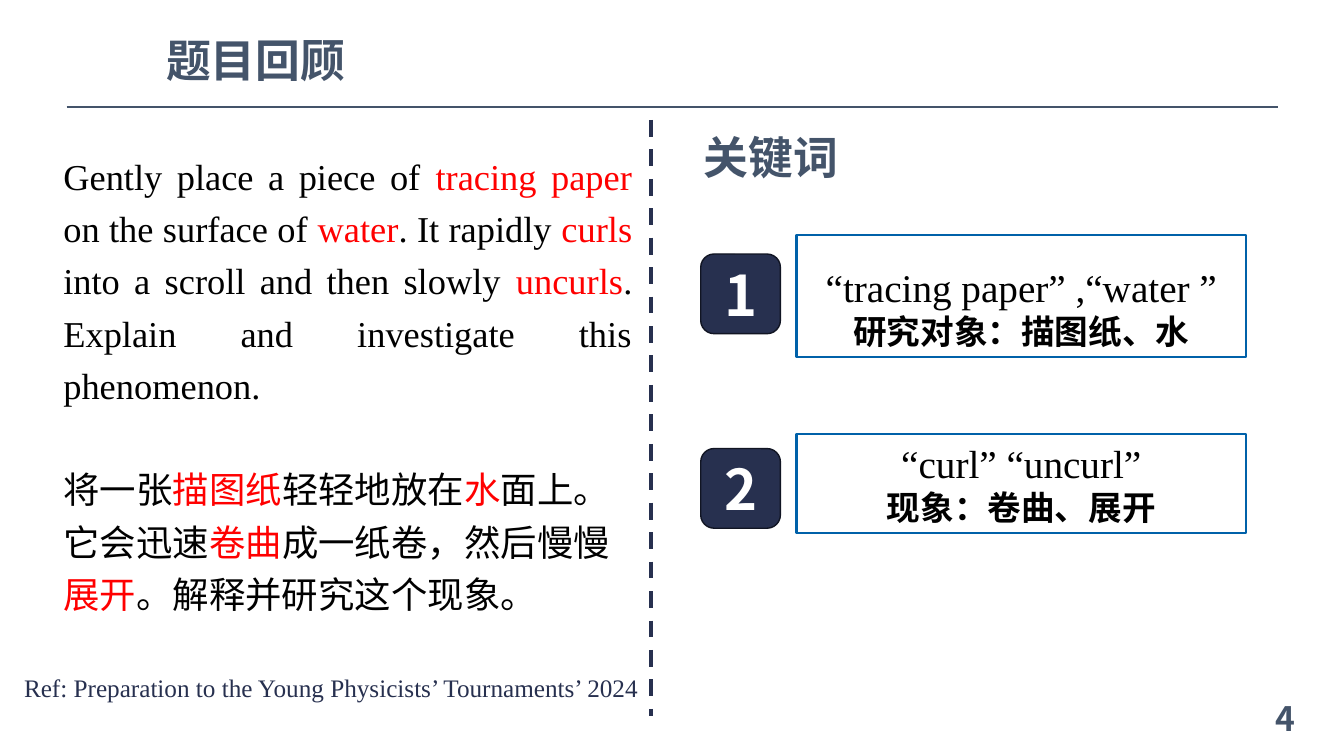
from lxml import etree
from pptx import Presentation
from pptx.dml.color import RGBColor
from pptx.enum.dml import MSO_LINE
from pptx.enum.shapes import MSO_CONNECTOR, MSO_SHAPE
from pptx.enum.text import MSO_ANCHOR, MSO_AUTO_SIZE, PP_ALIGN
from pptx.oxml.ns import qn
from pptx.util import Inches, Pt

LEFT, CENTER, RIGHT, JUST = (
    PP_ALIGN.LEFT, PP_ALIGN.CENTER, PP_ALIGN.RIGHT, PP_ALIGN.JUSTIFY)
TOP, MIDDLE = MSO_ANCHOR.TOP, MSO_ANCHOR.MIDDLE
GROW, FIXED = MSO_AUTO_SIZE.SHAPE_TO_FIT_TEXT, MSO_AUTO_SIZE.NONE
RECT, ROUND = MSO_SHAPE.RECTANGLE, MSO_SHAPE.ROUNDED_RECTANGLE
STRAIGHT, DASH = MSO_CONNECTOR.STRAIGHT, MSO_LINE.DASH

SANS, SERIF = "Noto Sans CJK SC", "Times New Roman"
COLORS = {
    "slate": "44546A", "navy": "27304F", "edge": "111523", "blue": "0061A9",
    "red": "FF0000", "black": "000000", "white": "FFFFFF",
}

ENGLISH = (
    "Gently place a piece of |tracing paper |on the surface of |water|"
    ". It rapidly |curls| into a scroll and then slowly |uncurls|"
    ". Explain and investigate this phenomenon.")
CHINESE = (
    "将一张|描图纸|轻轻地放在|水|面上。它会迅速|卷曲|"
    "成一纸卷，然后慢慢|展开|。解释并研究这个现象。")

# number, box top, box height, badge top, quote, quote spacing, meaning
KEYS = [
    ("1", 2.33, 1.21, 2.52, "“tracing paper” ,“water ”", 1.5,
     "研究对象：描图纸、水"),
    ("2", 4.31, 0.98, 4.45, "“curl” “uncurl”", 1.0, "现象：卷曲、展开"),
]


def rgb(name):
    return RGBColor.from_string(COLORS[name])


def write(frame, text, size=32, font=SANS, color="slate", bold=False,
          align=LEFT, lines=1.0, before=0):
    """Add a paragraph; every second part between bars is red."""
    para = frame.paragraphs[0]
    if para.runs:
        para = frame.add_paragraph()
    para.alignment = align
    para.line_spacing = lines
    para.space_before = Pt(before)
    for i, part in enumerate(text.split("|")):
        run = para.add_run()
        run.text = part
        run.font.size = Pt(size)
        run.font.bold = bold
        run.font.name = font
        run.font.color.rgb = rgb("red" if i % 2 else color)
        east = etree.SubElement(run.font._element, qn("a:ea"))
        east.set("typeface", font)


def add_box(slide, x, y, w, h, anchor=TOP, wrap=True):
    box = slide.shapes.add_textbox(
        Inches(x), Inches(y), Inches(w), Inches(h))
    frame = box.text_frame
    frame.word_wrap = wrap
    frame.auto_size = GROW
    frame.vertical_anchor = anchor
    return frame


def add_panel(slide, kind, x, y, w, h, line, width, fill=None,
              anchor=TOP, fit=GROW):
    panel = slide.shapes.add_shape(
        kind, Inches(x), Inches(y), Inches(w), Inches(h))
    panel.shadow.inherit = False
    if fill:
        panel.fill.solid()
        panel.fill.fore_color.rgb = rgb(fill)
    else:
        panel.fill.background()
    panel.line.color.rgb = rgb(line)
    panel.line.width = Pt(width)
    frame = panel.text_frame
    frame.word_wrap = True
    frame.auto_size = fit
    frame.vertical_anchor = anchor
    return frame


def add_rule(slide, x1, y1, x2, y2, color, width, dash=None):
    rule = slide.shapes.add_connector(
        STRAIGHT, Inches(x1), Inches(y1), Inches(x2), Inches(y2))
    rule.line.color.rgb = rgb(color)
    rule.line.width = Pt(width)
    if dash:
        rule.line.dash_style = dash
    etree.SubElement(rule._element.spPr, qn("a:effectLst"))


def add_key(slide, num, top, high, mark, quote, lines, sense):
    panel = add_panel(slide, RECT, 7.9, top, 4.46, high, "blue", 1.5)
    write(panel, quote, size=28, font=SERIF, color="black", align=CENTER,
          lines=lines)
    write(panel, sense, size=24, color="black", bold=True, align=CENTER)
    badge = add_panel(slide, ROUND, 6.95, mark, 0.79, 0.79, "edge", 1,
                      fill="navy", anchor=MIDDLE, fit=FIXED)
    write(badge, num, size=40, color="white", bold=True, align=CENTER)


def main():
    prs = Presentation()
    prs.slide_width, prs.slide_height = Inches(13.33), Inches(7.5)
    slide = prs.slides.add_slide(prs.slide_layouts[6])

    # Rule, page number and headings
    add_rule(slide, 0.66, 1.06, 12.68, 1.06, "slate", 1.75)
    write(add_box(slide, 9.95, 6.87, 3, 0.5, anchor=MIDDLE), "4",
          size=24, bold=True, align=RIGHT)
    write(add_box(slide, 6.88, 1.24, 5.2, 0.64), "关键词", bold=True)
    write(add_box(slide, 1.55, 0.28, 2.2, 0.64), "题目回顾", bold=True)

    # Divider and reference
    add_rule(slide, 6.46, 1.19, 6.46, 7.1, "navy", 3, dash=DASH)
    write(add_box(slide, 0.14, 6.62, 6.36, 0.4, wrap=False),
          "Ref: Preparation to the Young Physicists’ Tournaments’ 2024",
          size=18, font=SERIF, color="navy")

    # Problem in both languages
    body = add_box(slide, 0.53, 1.39, 5.84, 4.76)
    write(body, ENGLISH, size=26, font=SERIF, color="black", align=JUST,
          lines=1.2)
    write(body, CHINESE, size=26, color="black", lines=1.2, before=37)

    # Keywords
    for key in KEYS:
        add_key(slide, *key)

    prs.save("out.pptx")


if __name__ == "__main__":
    main()
